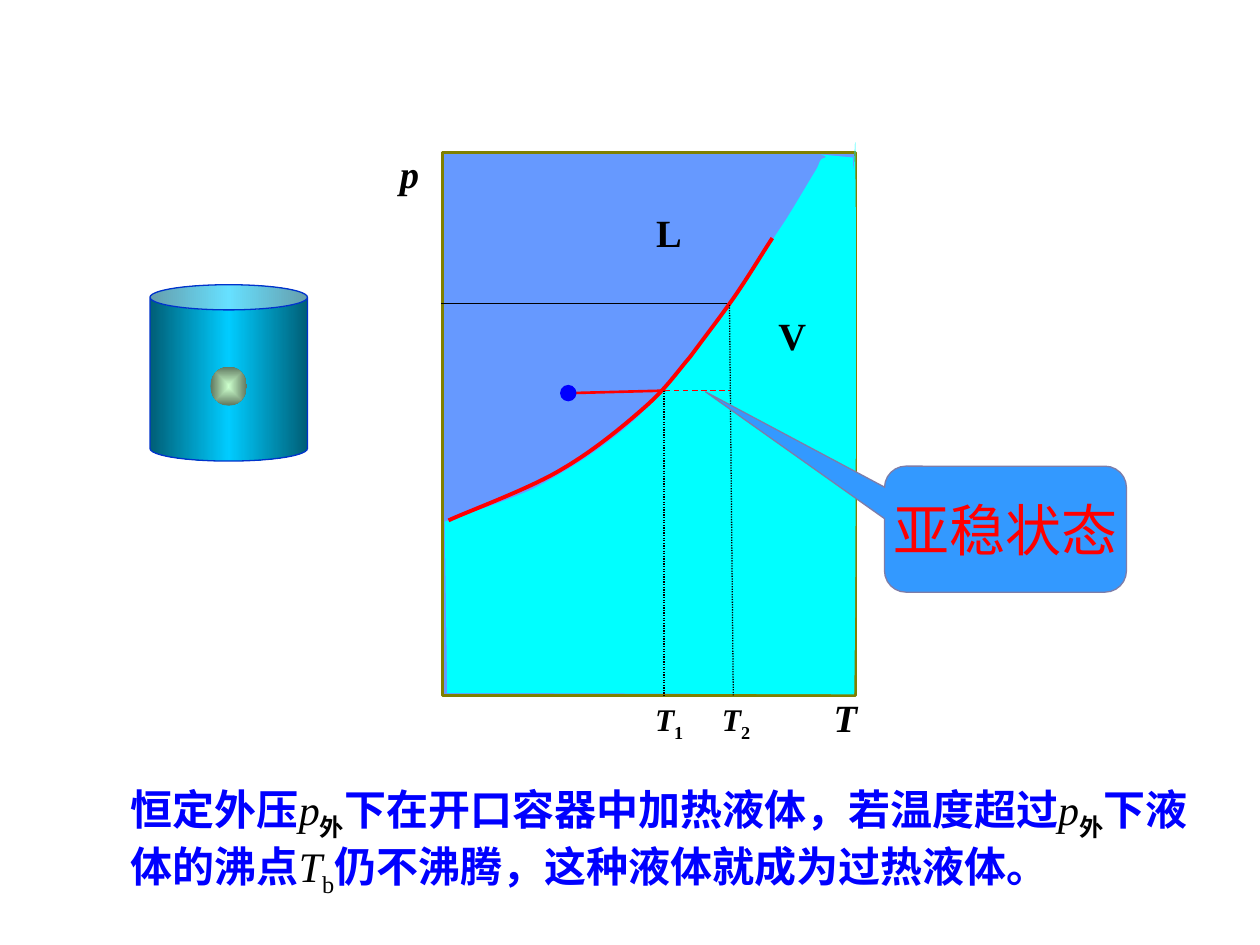
"""Build a slide on superheated liquids with a p-T phase diagram."""
from lxml import etree
from pptx import Presentation
from pptx.dml.color import RGBColor
from pptx.enum.dml import MSO_LINE
from pptx.enum.shapes import MSO_CONNECTOR, MSO_SHAPE
from pptx.enum.text import MSO_ANCHOR, PP_ALIGN
from pptx.oxml import parse_xml
from pptx.oxml.ns import nsdecls, qn
from pptx.util import Inches, Pt

THEME = {
    "font": "Times New Roman",
    "ink": "000000", "blue": "0000FF", "red": "FF0000",
    "liquid": "6699FF", "vapor": "00FFFF", "frame": "808000",
    "vessel_edge": "0033CC", "callout": "3399FF", "callout_edge": "7D7DA9",
    "vessel": [(0, "005E76"), (50, "00CCFF"), (100, "005E76")],
    "bubble": [(0, "CCFFCC"), (100, "5E765E")],
    "axis_size": 22, "tick_size": 18, "callout_size": 32, "body_size": 24,
    "thin": 0.75, "medium": 1.5, "thick": 2.25,
}

PLOT = (3.51, 1.21, 3.28, 4.31)
VAPOR_REGION = [
    (3.53, 4.14),
    (3.65, 4.1), (4.01, 3.98), (4.23, 3.88),
    (4.44, 3.77), (4.65, 3.64), (4.82, 3.51),
    (4.98, 3.39), (5.1, 3.28), (5.22, 3.15),
    (5.35, 3.02), (5.46, 2.86), (5.57, 2.71),
    (5.68, 2.57), (5.76, 2.45), (5.88, 2.29),
    (5.99, 2.12), (6.14, 1.89), (6.24, 1.74),
    (6.34, 1.58), (6.42, 1.44), (6.47, 1.36),
    (6.52, 1.28), (6.49, 1.27), (6.55, 1.25),
    (6.6, 1.23), (6.33, 1.21), (6.77, 1.25),
    (6.78, 1.63), (6.79, 0.69), (6.79, 1.4),
    (6.8, 2.11), (6.79, 5.01), (6.78, 5.51),
    (6.37, 5.51), (4.22, 5.5), (3.55, 5.5),
]
BOILING_CURVE = [
    (3.56, 4.13),
    (3.71, 4.06), (4.2, 3.88), (4.45, 3.73),
    (4.71, 3.58), (4.95, 3.38), (5.12, 3.23),
    (5.29, 3.08), (5.36, 2.97), (5.48, 2.83),
    (5.59, 2.68), (5.73, 2.5), (5.84, 2.34),
    (5.95, 2.18), (6.07, 1.98), (6.13, 1.89),
]
PLOT_LABELS = [
    ("p", (2.89, 1.14, 0.72, 0.48), PP_ALIGN.CENTER, "bold italic"),
    ("V", (6.08, 2.43, 0.39, 0.48), PP_ALIGN.RIGHT, "bold"),
    ("T", (6.35, 5.46, 0.72, 0.48), PP_ALIGN.CENTER, "bold italic"),
    ("L", (5.11, 1.61, 0.39, 0.48), PP_ALIGN.RIGHT, "bold"),
]
GUIDES = [
    ((5.28, 3.1), (4.53, 3.12), "red", "medium", None),
    ((5.77, 2.41), (3.5, 2.41), "ink", "thin", None),
    ((5.28, 3.1), (5.8, 3.1), "red", "thin", MSO_LINE.DASH),
    ((5.79, 2.42), (5.82, 5.52), "ink", "thin", MSO_LINE.ROUND_DOT),
    ((5.27, 3.1), (5.27, 5.52), "ink", "thin", MSO_LINE.ROUND_DOT),
]
TICKS = [("1", (5.1, 5.51, 0.71, 0.4)), ("2", (5.63, 5.51, 0.71, 0.4))]
CALLOUT = "亚稳状态"
STATEMENT = [
    ("恒定外压", "blue", "bold"),
    ("p", "ink", "italic"),
    ("外", "ink", "bold sub"),
    ("下在开口容器中加热液体，若温度超过", "blue", "bold"),
    ("p", "ink", "italic"),
    ("外", "ink", "bold sub"),
    ("下液体的沸点", "blue", "bold"),
    ("T", "ink", "italic"),
    ("b", "ink", "sub"),
    ("仍不沸腾，这种液体就成为过热液体。", "blue", "bold"),
]


def color(name):
    return RGBColor.from_string(THEME[name])


def paint(shape, fill=None, line=None, width="thin"):
    shape.shadow.inherit = False
    if fill:
        shape.fill.solid()
        shape.fill.fore_color.rgb = color(fill)
    else:
        shape.fill.background()
    if line:
        shape.line.color.rgb = color(line)
        shape.line.width = Pt(THEME[width])
    else:
        shape.line.fill.background()


def add_preset(shapes, preset, box, *style):
    shape = shapes.add_shape(preset, *map(Inches, box))
    paint(shape, *style)
    return shape


def set_gradient(shape, stops, direction):
    marks = "".join(
        f'<a:gs pos="{place * 1000}"><a:srgbClr val="{rgb}"/></a:gs>' for place, rgb in stops)
    gradient = parse_xml(
        f'<a:gradFill {nsdecls("a")} rotWithShape="1"><a:gsLst>{marks}</a:gsLst>{direction}</a:gradFill>')
    properties = shape._element.spPr
    properties.replace(properties.find(qn("a:noFill")), gradient)


def add_curve(shapes, nodes, closed, *style):
    start, *rest = [tuple(map(Inches, node)) for node in nodes]
    builder = shapes.build_freeform(*start)
    builder.add_line_segments(rest, close=closed)
    curve = builder.convert_to_shape()
    segments = list(curve._element.iter(qn("a:lnTo")))[:len(rest)]
    for i in range(0, len(segments), 3):
        bezier = etree.Element(qn("a:cubicBezTo"))
        segments[i].addprevious(bezier)
        for segment in segments[i:i + 3]:
            bezier.append(segment[0])
            segment.getparent().remove(segment)
    paint(curve, *style)


def write(frame, runs, size, align=PP_ALIGN.LEFT):
    paragraph = frame.paragraphs[0]
    paragraph.alignment = align
    for text, ink, style in runs:
        run = paragraph.add_run()
        run.text = text
        run.font.name = THEME["font"]
        run.font.size = Pt(THEME[size])
        run.font.color.rgb = color(ink)
        run.font.bold = "bold" in style
        run.font.italic = "italic" in style
        if "sub" in style:
            run._r.get_or_add_rPr().set("baseline", "-25000")


def add_text(shapes, box, runs, size, align=PP_ALIGN.LEFT):
    frame = shapes.add_textbox(*map(Inches, box)).text_frame
    frame.word_wrap = True
    write(frame, runs, size, align)


def add_guide(shapes, start, end, ink, width, dash):
    guide = shapes.add_connector(MSO_CONNECTOR.STRAIGHT, *map(Inches, start + end))
    guide.line.color.rgb = color(ink)
    guide.line.width = Pt(THEME[width])
    if dash:
        guide.line.dash_style = dash
    etree.SubElement(guide._element.spPr, qn("a:effectLst"))


def main():
    deck = Presentation()
    deck.slide_width, deck.slide_height = Inches(10), Inches(7.5)
    shapes = deck.slides.add_slide(deck.slide_layouts[6]).shapes

    vessel = add_preset(shapes, MSO_SHAPE.CAN, (1.19, 2.26, 1.25, 1.4), None, "vessel_edge")
    vessel.adjustments[0] = 0.16
    set_gradient(vessel, THEME["vessel"], '<a:lin ang="0" scaled="1"/>')
    bubble = add_preset(shapes, MSO_SHAPE.OVAL, (1.67, 2.91, 0.29, 0.31))
    set_gradient(bubble, THEME["bubble"], '<a:path path="shape"><a:fillToRect l="50000" '
                 't="50000" r="50000" b="50000"/></a:path>')

    diagram = shapes.add_group_shape().shapes
    add_preset(diagram, MSO_SHAPE.RECTANGLE, PLOT, "liquid", "frame", "medium")
    add_curve(diagram, VAPOR_REGION, True, "vapor")
    add_curve(diagram, BOILING_CURVE, False, None, "red", "thick")
    for text, box, align, style in PLOT_LABELS:
        add_text(diagram, box, [(text, "ink", style)], "axis_size", align)

    for guide in GUIDES:
        add_guide(shapes, *guide)
    add_preset(shapes, MSO_SHAPE.OVAL, (4.45, 3.06, 0.12, 0.12), "blue", "blue")
    for number, box in TICKS:
        add_text(shapes, box, [("T", "ink", "bold italic"), (number, "ink", "bold sub")], "tick_size")

    callout = add_preset(shapes, MSO_SHAPE.ROUNDED_RECTANGULAR_CALLOUT,
                         (7.02, 3.7, 1.92, 1), "callout", "callout_edge")
    for i, value in enumerate((-1.24, -1.09, 0.17)):
        callout.adjustments[i] = value
    callout.text_frame.word_wrap = False
    callout.text_frame.vertical_anchor = MSO_ANCHOR.MIDDLE
    write(callout.text_frame, [(CALLOUT, "red", "")], "callout_size", PP_ALIGN.CENTER)

    add_text(shapes, (0.94, 6.17, 8.79, 0.91), STATEMENT, "body_size")
    deck.save("out.pptx")


if __name__ == "__main__":
    main()
